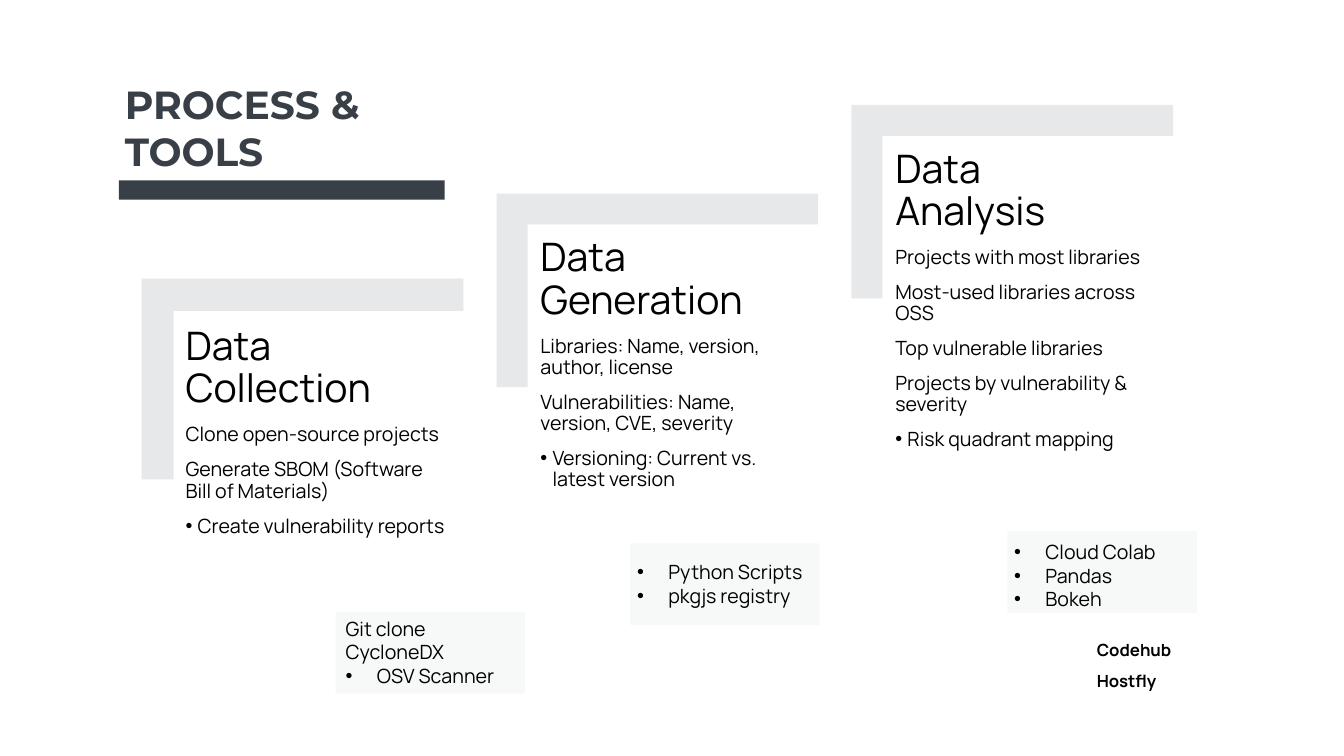
from pptx import Presentation
from pptx.dml.color import RGBColor
from pptx.enum.shapes import MSO_SHAPE
from pptx.oxml.xmlchemy import OxmlElement
from pptx.util import Inches, Pt

RECT, CORNER = MSO_SHAPE.RECTANGLE, MSO_SHAPE.CORNER
DARK, BLACK, GREY, PALE = "383F47", "000000", "E7E8E9", "F7F9F9"
BODY, HEAD = "Manrope", "Montserrat"

TITLE = ["PROCESS &", "TOOLS"]
STEPS = [
    ("Data Collection", 1.99,
     ["Clone open-source projects",
      "Generate SBOM (Software Bill of Materials)"],
     "Create vulnerability reports"),
    ("Data Generation", 1.92,
     ["Libraries: Name, version, author, license",
      "Vulnerabilities: Name, version, CVE, severity"],
     "Versioning: Current vs. latest version"),
    ("Data \vAnalysis", 1.92,
     ["Projects with most libraries",
      "Most-used libraries across OSS",
      "Top vulnerable libraries",
      "Projects by vulnerability & severity"],
     "Risk quadrant mapping"),
]
TOOLS = [
    ((9.99, 5.27), (9.96, 5.31, 2.09, 0.81), [],
     ["Cloud Colab", "Pandas", "Bokeh"]),
    ((6.25, 5.39), (6.22, 5.51, 2.09, 0.57), [],
     ["Python Scripts", "pkgjs registry"]),
    ((3.33, 6.07), (3.33, 6.07, 1.77, 0.81), ["Git clone", "CycloneDX"],
     ["OSV Scanner"]),
]
HOSTS = ["Codehub", "Hostfly"]

FIRST_X, FIRST_Y = 1.72, 3.12
STEP_X, STEP_Y = 3.52, -0.88
ARM = 3.19

prs = Presentation()
prs.slide_width, prs.slide_height = Inches(13.33), Inches(7.5)
s = prs.slides.add_slide(prs.slide_layouts[6])


def color(value):
    return RGBColor.from_string(value)


def add_block(kind, x, y, w, h, fill):
    sp = s.shapes.add_shape(kind, Inches(x), Inches(y), Inches(w), Inches(h))
    sp.shadow.inherit = False
    sp.fill.solid()
    sp.fill.fore_color.rgb = color(fill)
    sp.line.fill.background()
    return sp


def add_frame(x, y, w, h, inset=None):
    tf = s.shapes.add_textbox(Inches(x), Inches(y), Inches(w), Inches(h)).text_frame
    tf.word_wrap = True
    if inset is not None:
        tf.margin_left = tf.margin_right = Inches(inset)
        tf.margin_top = tf.margin_bottom = Inches(inset)
    return tf


def add_line(tf, text, size, font=BODY, ink=BLACK, bold=False,
             spacing=None, after=0, hang=0):
    p = tf.paragraphs[0]
    if p.runs:
        p = tf.add_paragraph()
    p.space_after = Pt(after)
    if spacing:
        p.line_spacing = spacing
    for i, part in enumerate(text.split("\v")):
        if i:
            p.add_line_break()
        r = p.add_run()
        r.text = part
        r.font.size, r.font.name, r.font.bold = Pt(size), font, bold
        r.font.color.rgb = color(ink)
    if hang:
        pPr = p._p.get_or_add_pPr()
        pPr.set("marL", str(Inches(hang)))
        pPr.set("indent", str(-Inches(hang)))
        for tag, key, value in (("a:buFont", "typeface", "Arial"),
                                ("a:buChar", "char", "•")):
            bullet = OxmlElement(tag)
            bullet.set(key, value)
            pPr.append(bullet)


tf = add_frame(1.14, 0.75, 5.09, 1.04)
for line in TITLE:
    add_line(tf, line, 28, HEAD, DARK, True)
add_block(RECT, 1.18, 1.79, 3.23, 0.19, DARK)

for i, (name, depth, lines, last) in enumerate(STEPS):
    x, y = FIRST_X + i * STEP_X, FIRST_Y + i * STEP_Y
    cx, cy = x + 1.28, y + 0.64
    sp = add_block(CORNER, cx - depth / 2, cy - ARM / 2, depth, ARM, GREY)
    sp.rotation = 90
    sp.adjustments[0] = sp.adjustments[1] = 0.16
    tf = add_frame(x, y, 2.88, 2.52, 0.12)
    add_line(tf, name, 28, spacing=0.9, after=9.8)
    for line in lines:
        add_line(tf, line, 14, spacing=0.9, after=9.8)
    add_line(tf, last, 14, spacing=0.9, hang=0.12)

for (x, y), box, plain, bulleted in TOOLS:
    add_block(RECT, x, y, 1.88, 0.81, PALE)
    tf = add_frame(*box)
    for line in plain:
        add_line(tf, line, 14)
    for line in bulleted:
        add_line(tf, line, 14, hang=0.31)

tf = add_frame(10.78, 6.2, 1.1, 0.68)
for line in HOSTS:
    add_line(tf, line, 12, bold=True, spacing=1.5)

prs.save("out.pptx")
